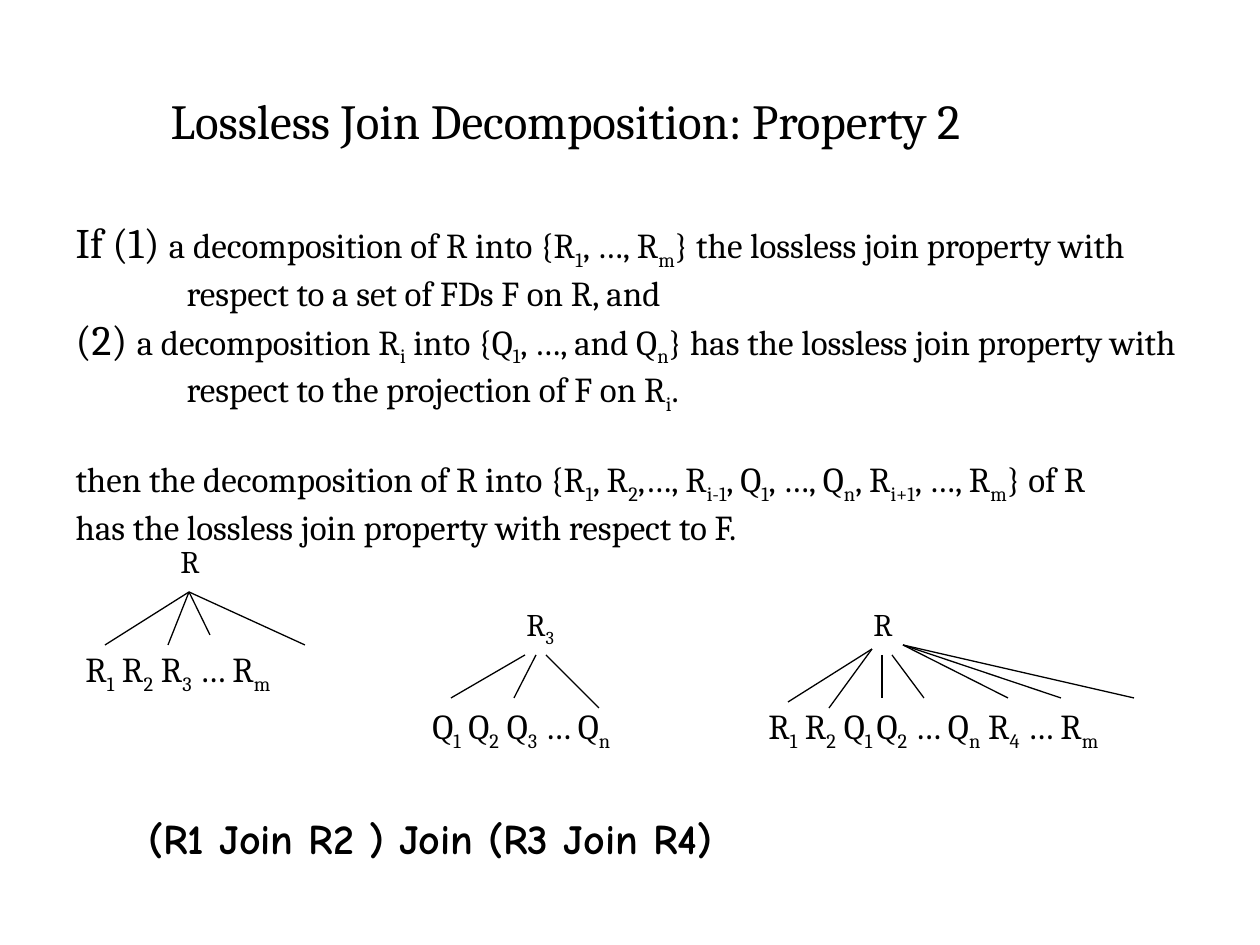
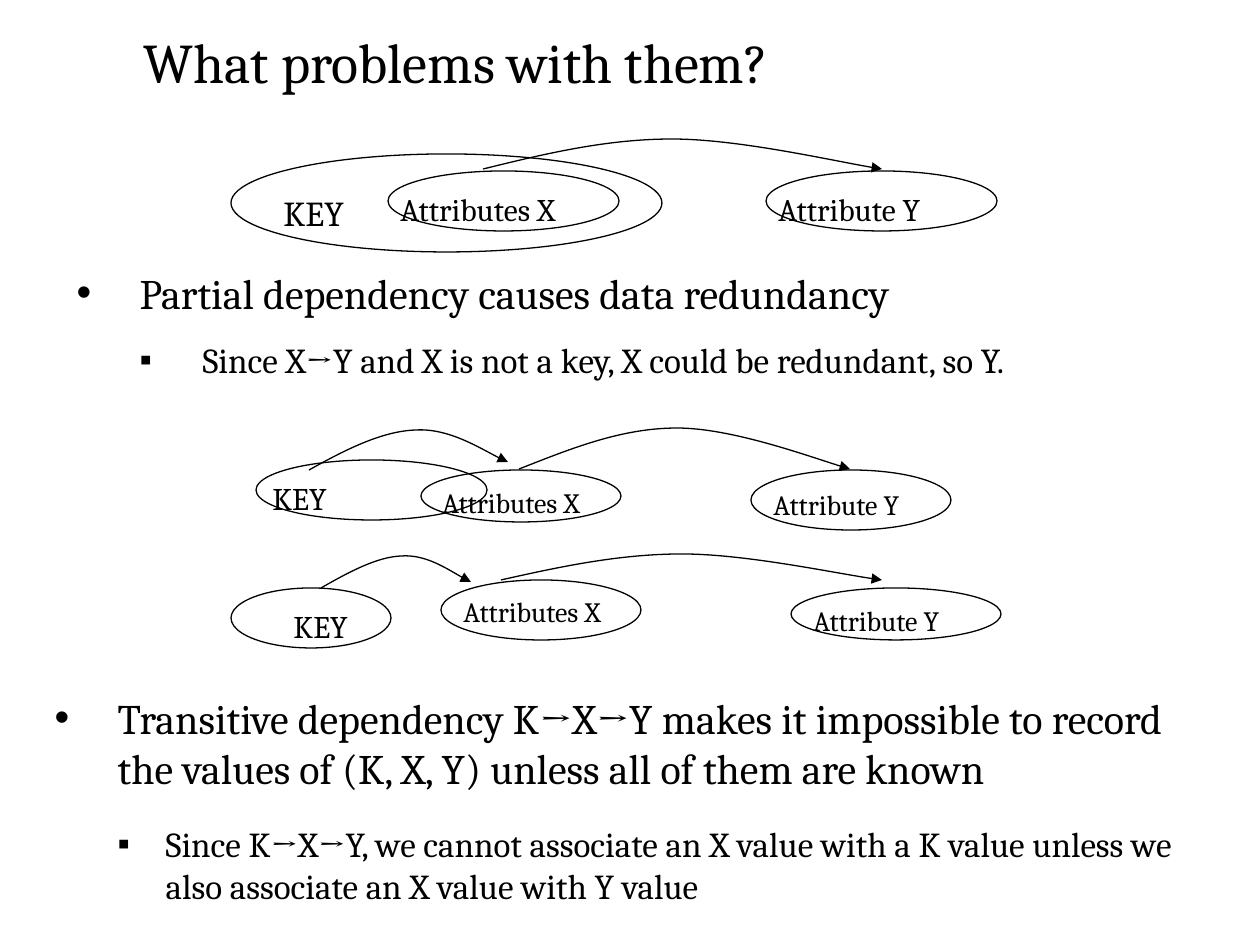
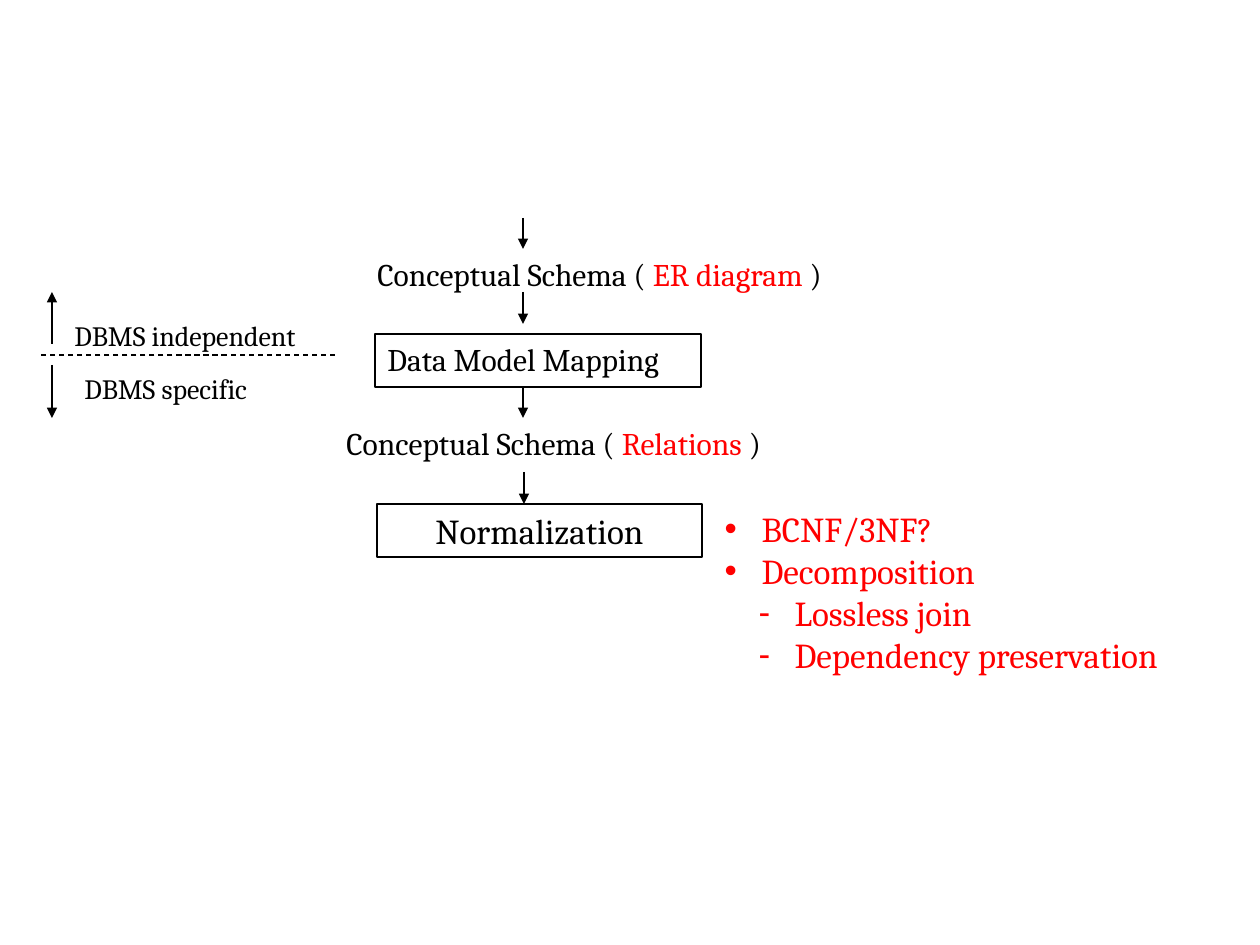
from lxml.etree import SubElement
from pptx import Presentation
from pptx.dml.color import RGBColor
from pptx.enum.dml import MSO_LINE
from pptx.enum.shapes import MSO_CONNECTOR, MSO_SHAPE
from pptx.enum.text import MSO_ANCHOR, MSO_AUTO_SIZE, PP_ALIGN
from pptx.oxml.ns import qn
from pptx.util import Pt

EMU_PER_PX = 914400 / 126
COLORS = {"ink": "000000", "accent": "FF0000"}
FONTS = {"main": "Cambria", "formula": "Comic Neue"}
TITLE_CONTENT, TWO_CONTENT = 1, 3

# Slide 1 content: text between ~ marks is subscript
PROPERTY_TITLE = "Lossless Join Decomposition: Property 2"
PROPERTY_LINES = [
    {"lead": "If (1) ", "text": "a decomposition of R into {R~1~, …, R~m~} the lossless join "
                                "property with respect to a set of FDs F on R, and"},
    {"lead": "(2) ", "text": "a decomposition R~i~ into {Q~1~, …, and Q~n~} has the lossless join "
                             "property with respect to the projection of F on R~i~."},
    {"text": "then the decomposition of R into {R~1~, R~2~,…, R~i-1~, Q~1~, …, Q~n~, "
             "R~i+1~, …, R~m~} of R", "before": 24},
    {"text": "has the lossless join property with respect to F."},
]
# Root, its box, children, their box, branch ends by starting point
TREES = [
    ("R", (168, 536, 45, 50), "R~1~ R~2~ R~3~ … R~m~", (73, 641, 234, 54),
     {(189, 592): [(105, 645), (168, 645), (210, 635), (305, 645)]}),
    ("R~3~", (514, 599, 58, 50), "Q~1~ Q~2~ Q~3~ … Q~n~", (420, 698, 228, 55),
     {(525, 655): [(451, 698)], (536, 655): [(514, 698)], (546, 655): [(599, 708)]}),
    ("R", (861, 599, 45, 50), "R~1~ R~2~ Q~1 ~Q~2~ … Q~n~ R~4~ … R~m~", (756, 698, 393, 55),
     {(872, 649): [(788, 702), (829, 708)], (882, 655): [(882, 698)], (892, 655): [(924, 698)],
      (903, 645): [(1008, 698), (1061, 698), (1134, 698)]}),
]
FORMULA = "(R1 Join R2 ) Join (R3 Join R4)"

# Slide 2 content
PROBLEMS_TITLE = "What problems with them?"
PARTIAL_LIST = [
    {"text": "Partial dependency causes data redundancy",
     "size": 24, "bullet": "•", "left": 63, "hang": 63},
    {"text": "Since X→Y and X is not a key, X could be redundant, so Y.",
     "level": 1, "bullet": "▪", "left": 126, "hang": 63, "before": 12},
]
TRANSITIVE_LIST = [
    {"text": "Transitive dependency K→X→Y makes it impossible to record the values of "
             "(K, X, Y) unless all of them are known",
     "size": 24, "bullet": "•", "left": 63, "hang": 63},
    {"text": "Since K→X→Y, we cannot associate an X value with a K value unless we also "
             "associate an X value with Y value",
     "level": 1, "bullet": "▪", "left": 111, "hang": 48, "before": 17},
]
# Ellipse box, label, label box, label size
ATTRIBUTE_SETS = [
    ((231, 154, 431, 98), "KEY", (271, 185, 91, 54), 20),
    ((388, 171, 231, 60), "Attributes X", (388, 184, 189, 50), 18),
    ((766, 171, 231, 60), "Attribute Y", (766, 184, 175, 50), 18),
    ((256, 460, 231, 60), "KEY", (260, 473, 84, 50), 18),
    ((421, 470, 200, 52), "Attributes X", (430, 479, 170, 47), 16),
    ((751, 470, 200, 60), "Attribute Y", (761, 481, 158, 47), 16),
    ((231, 588, 160, 60), "KEY", (281, 601, 84, 50), 18),
    ((441, 580, 200, 60), "Attributes X", (451, 588, 170, 47), 16),
    ((791, 588, 210, 52), "Attribute Y", (801, 597, 158, 47), 16),
]
# Start point, then three Bezier points per curve
DEPENDENCY_ARCS = [
    [(483, 169), (544, 154), (606, 139), (672, 139), (738, 139), (847, 164), (882, 169)],
    [(519, 469), (570, 449), (621, 428), (677, 428), (731, 428), (822, 461), (850, 469)],
    [(309, 470), (345, 450), (382, 431), (416, 430), (449, 428), (493, 456), (508, 462)],
    [(501, 580), (559, 567), (619, 554), (682, 554), (745, 554), (848, 576), (882, 580)],
    [(321, 588), (349, 572), (377, 557), (401, 556), (426, 554), (460, 577), (471, 582)],
]

# Slide 3 content: text between ~ marks is in the accent colour
SCHEMA_LABELS = [
    ("Conceptual Schema ( ~ER diagram ~)", (365, 249, 493, 50), 18),
    ("Conceptual Schema ( ~Relations ~)", (334, 418, 462, 50), 18),
    ("DBMS independent", (62, 312, 258, 47), 16),
    ("DBMS specific", (72, 365, 195, 47), 16),
]
STEPS = [
    ("Data Model Mapping", (375, 334, 326, 53),
     {"size": 18, "anchor": MSO_ANCHOR.TOP}),
    ("Normalization", (377, 504, 325, 53),
     {"size": 20, "anchor": MSO_ANCHOR.MIDDLE, "align": PP_ALIGN.CENTER}),
]
FLOW_ARROWS = [
    ((523, 218), (523, 249)), ((523, 292), (523, 324)), ((523, 387), (523, 418)),
    ((524, 472), (524, 504)), ((52, 344), (52, 292)), ((52, 365), (52, 418)),
]
DBMS_DIVIDER = ((335, 355), (40, 355))
DESIGN_LIST = [
    {"text": "BCNF/3NF?", "bullet": "•", "left": 37, "hang": 37},
    {"text": "Decomposition", "bullet": "•", "left": 37, "hang": 37},
    {"text": "Lossless join", "level": 1, "bullet": "-", "left": 70, "hang": 36},
    {"text": "Dependency preservation", "level": 1, "bullet": "-", "left": 70, "hang": 36},
]


def emu(*lengths):
    return [round(length * EMU_PER_PX) for length in lengths]


def color(name):
    return RGBColor.from_string(COLORS[name])


# Text
def format_paragraph(paragraph, item, align):
    paragraph.level = item.get("level", 0)
    paragraph.alignment = align
    paragraph.line_spacing = 1.0
    paragraph.space_before = Pt(item.get("before", 0))
    paragraph.space_after = Pt(0)
    properties = paragraph._p.get_or_add_pPr()
    left, hang = emu(item.get("left", 0), item.get("hang", 0))
    properties.set("marL", str(left))
    properties.set("indent", str(-hang))
    if "bullet" in item:
        SubElement(properties, qn("a:buChar")).set("char", item["bullet"])
    else:
        SubElement(properties, qn("a:buNone"))


def write(shape, content, size=20, ink="ink", font="main", bold=False, accent=None,
          align=PP_ALIGN.LEFT, anchor=MSO_ANCHOR.TOP, wrap=True, fit=MSO_AUTO_SIZE.NONE):
    """Write a string or a list of paragraph dicts; ~ toggles accent or subscript."""
    frame = shape.text_frame
    frame.word_wrap, frame.auto_size, frame.vertical_anchor = wrap, fit, anchor
    items = [{"text": content}] if isinstance(content, str) else content
    for index, item in enumerate(items):
        paragraph = frame.add_paragraph() if index else frame.paragraphs[0]
        format_paragraph(paragraph, item, align)
        pieces = [(item.get("lead", ""), 24, False)]
        pieces += [(text, item.get("size", size), number % 2 == 1)
                   for number, text in enumerate(item["text"].split("~"))]
        for text, points, marked in pieces:
            if not text:
                continue
            run = paragraph.add_run()
            run.text = text
            run.font.name, run.font.size, run.font.bold = FONTS[font], Pt(points), bold
            run.font.color.rgb = color(accent if marked and accent else ink)
            if marked and not accent:
                run._r.get_or_add_rPr().set("baseline", "-25000")


def fill_placeholder(placeholder, content, box, **style):
    placeholder.left, placeholder.top, placeholder.width, placeholder.height = emu(*box)
    write(placeholder, content, **style)


def add_label(slide, content, box, wrap=False, **style):
    write(slide.shapes.add_textbox(*emu(*box)), content, wrap=wrap,
          fit=MSO_AUTO_SIZE.SHAPE_TO_FIT_TEXT, **style)


# Shapes and lines
def format_line(shape, arrow=False):
    shape.line.color.rgb = color("ink")
    shape.line.width = Pt(0.75)
    if arrow:
        SubElement(shape.line._get_or_add_ln(), qn("a:tailEnd")).set("type", "triangle")


def add_outline(slide, kind, box):
    shape = slide.shapes.add_shape(kind, *emu(*box))
    shape.shadow.inherit = False
    shape.fill.background()
    format_line(shape)
    return shape


def add_line(slide, start, end, arrow=False):
    line = slide.shapes.add_connector(MSO_CONNECTOR.STRAIGHT, *emu(*start, *end))
    format_line(line, arrow)
    SubElement(line._element.spPr, qn("a:effectLst"))
    return line


def add_arc(slide, points):
    builder = slide.shapes.build_freeform(*points[0], scale=EMU_PER_PX)
    builder.add_line_segments(points[1:], close=False)
    arc = builder.convert_to_shape()
    arc.shadow.inherit = False
    arc.fill.background()
    format_line(arc, arrow=True)
    # Turn each three segments into one Bezier curve
    outline = arc._element.find(".//" + qn("a:path"))
    segments = outline.findall(qn("a:lnTo"))
    for first in range(0, len(segments), 3):
        curve = SubElement(outline, qn("a:cubicBezTo"))
        for segment in segments[first:first + 3]:
            curve.append(segment[0])
            outline.remove(segment)


def add_slide(presentation, layout):
    return presentation.slides.add_slide(presentation.slide_layouts[layout])


# Slides
def build_property_slide(presentation):
    slide = add_slide(presentation, TITLE_CONTENT)
    fill_placeholder(slide.shapes.title, PROPERTY_TITLE, (158, 84, 876, 72), size=28, wrap=False)
    lines = [{"left": 111, "hang": 111, **line} for line in PROPERTY_LINES]
    fill_placeholder(slide.placeholders[1], lines, (63, 210, 1134, 326))
    for root, root_box, children, children_box, branches in TREES:
        add_label(slide, root, root_box, size=18)
        add_label(slide, children, children_box)
        for start, ends in branches.items():
            for end in ends:
                add_line(slide, start, end)
    add_label(slide, FORMULA, (136, 806, 809, 115), wrap=True, size=24, font="formula", bold=True)


def build_problems_slide(presentation):
    slide = add_slide(presentation, TWO_CONTENT)
    fill_placeholder(slide.shapes.title, PROBLEMS_TITLE, (131, 21, 977, 81), size=32)
    fill_placeholder(slide.placeholders[1], PARTIAL_LIST, (64, 261, 1155, 127))
    fill_placeholder(slide.placeholders[2], TRANSITIVE_LIST, (42, 686, 1155, 230))
    for ellipse_box, label, label_box, size in ATTRIBUTE_SETS:
        add_outline(slide, MSO_SHAPE.OVAL, ellipse_box)
        add_label(slide, label, label_box, size=size)
    for points in DEPENDENCY_ARCS:
        add_arc(slide, points)


def build_design_slide(presentation):
    slide = add_slide(presentation, TITLE_CONTENT)
    title = slide.shapes.title._element
    title.getparent().remove(title)
    fill_placeholder(slide.placeholders[1], DESIGN_LIST, (712, 501, 500, 183),
                     ink="accent", wrap=False)
    for label, box, size in SCHEMA_LABELS:
        add_label(slide, label, box, size=size, accent="accent")
    for step, box, style in STEPS:
        write(add_outline(slide, MSO_SHAPE.RECTANGLE, box), step, wrap=False, **style)
    for start, end in FLOW_ARROWS:
        add_line(slide, start, end, arrow=True)
    add_line(slide, *DBMS_DIVIDER).line.dash_style = MSO_LINE.DASH


def main():
    presentation = Presentation()
    presentation.slide_width, presentation.slide_height = emu(1260, 945)
    build_property_slide(presentation)
    build_problems_slide(presentation)
    build_design_slide(presentation)
    presentation.save("out.pptx")


if __name__ == "__main__":
    main()
